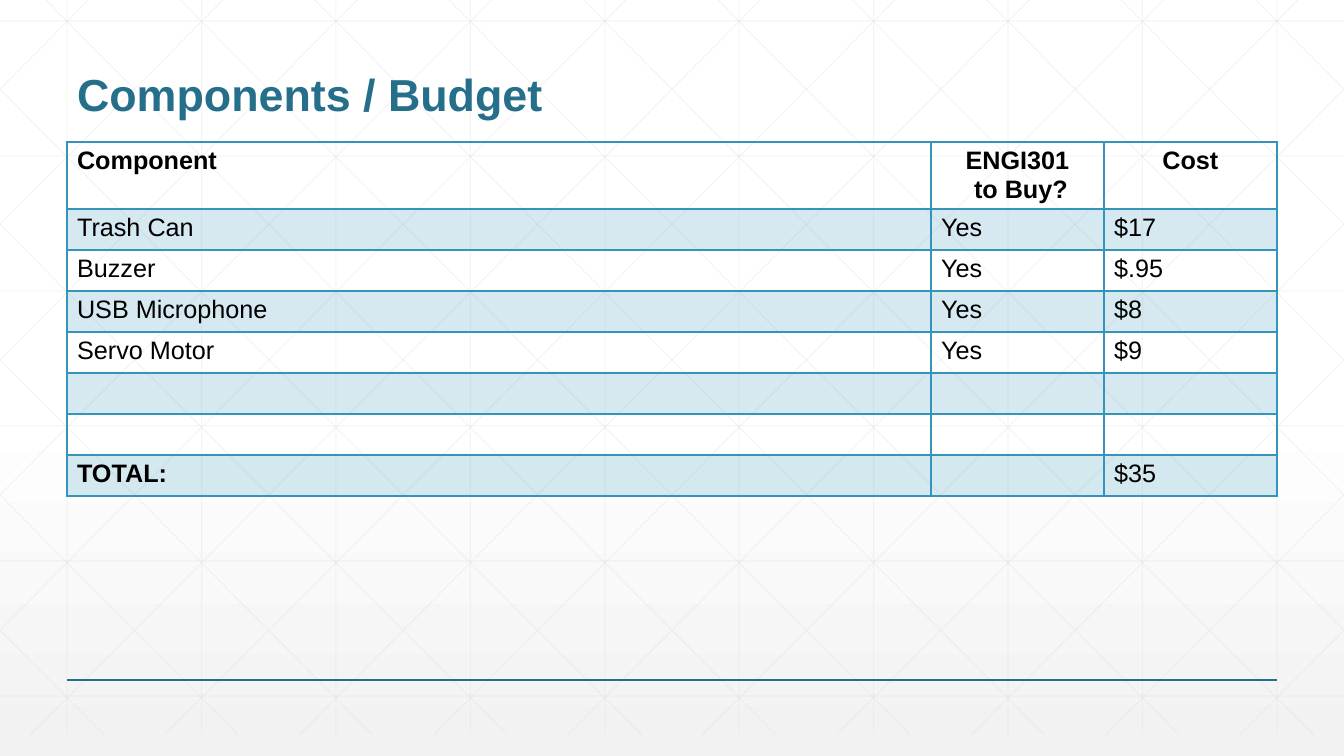
from dataclasses import dataclass

from lxml import etree
from pptx import Presentation
from pptx.dml.color import RGBColor
from pptx.enum.shapes import MSO_CONNECTOR
from pptx.enum.text import MSO_ANCHOR, PP_ALIGN
from pptx.oxml.ns import qn
from pptx.util import Emu, Pt

STRAIGHT = MSO_CONNECTOR.STRAIGHT
BOTTOM = MSO_ANCHOR.BOTTOM
LEFT, CENTER = PP_ALIGN.LEFT, PP_ALIGN.CENTER

EMU_PER_PX = 914400 / 100.8
SLIDE_WIDTH, SLIDE_HEIGHT = 1344, 756
TITLE_ONLY = 5


@dataclass(frozen=True)
class Theme:
    """Colours, type sizes and line widths of the slide."""
    font: str = "Arial"
    title: str = "266F8B"
    accent: str = "3494BA"
    text: str = "000000"
    lattice: str = "D8D8D8"
    paper: str = "FFFFFF"
    shade: str = "F2F2F2"
    title_size: int = 32
    table_size: int = 18
    lattice_width: float = 0.75
    rule_width: float = 1
    header_width: float = 2
    lattice_opacity: int = 25
    band_opacity: int = 20


THEME = Theme()

HEADER = [["Component"], ["ENGI301", " to Buy?"], ["Cost"]]
ITEMS = [
    ("Trash Can", "Yes", "$17"),
    ("Buzzer", "Yes", "$.95"),
    ("USB Microphone", "Yes", "$8"),
    ("Servo Motor", "Yes", "$9"),
    ("", "", ""),
    ("", "", ""),
    ("TOTAL:", "", "$35"),
]
COLUMN_WIDTHS = [864, 173, 173]
HEADER_HEIGHT, ITEM_HEIGHT = 67, 41


def px(length):
    """Turn pixels into EMU."""
    return Emu(round(length * EMU_PER_PX))


def set_opacity(element, percent):
    """Make every colour inside an element partly transparent."""
    for color in element.iter(qn("a:srgbClr")):
        etree.SubElement(color, qn("a:alpha"), val=str(percent * 1000))


def add_line(shapes, start, end, color, width):
    """Draw a straight line without a shadow."""
    line = shapes.add_connector(STRAIGHT, *map(px, (*start, *end)))
    line.line.color.rgb = RGBColor.from_string(color)
    line.line.width = Pt(width)
    etree.SubElement(line.element.spPr, qn("a:effectLst"))
    return line


def add_run(paragraph, text, size, color, bold):
    """Add one formatted run to a paragraph."""
    run = paragraph.add_run()
    run.text = text
    run.font.name = THEME.font
    run.font.size = Pt(size)
    run.font.bold = bold
    run.font.color.rgb = RGBColor.from_string(color)


def fill_background(slide):
    """Shade the slide towards its bottom edge."""
    fill = slide.background.fill
    fill.gradient()
    fill.gradient_angle = 270
    stops = ((0.53, THEME.paper), (1, THEME.shade))
    for stop, (position, color) in zip(fill.gradient_stops, stops):
        stop.position = position
        stop.color.rgb = RGBColor.from_string(color)


def lattice_lines(left, top, width, height):
    """List the ends of the upright, level and slanted lattice lines."""
    step, bottom, right = width / 10, top + height, left + width
    lines = [((x, top), (x, bottom))
             for x in (left + step * (index + 0.5) for index in range(10))]
    lines += [((left, y), (right, y))
              for y in (top + 42 + 135 * index for index in range(6))]
    slope = height / 751
    for index in range(-5, 10):
        start = left + 25 + step * index
        near, far = max(start, left), min(start + 751, right)
        near_y, far_y = (top + (x - start) * slope for x in (near, far))
        lines.append(((near, near_y), (far, far_y)))
        lines.append(((left + right - near, near_y), (left + right - far, far_y)))
    return lines


def add_lattice(slide, left, top, width, height):
    """Draw the faint lattice behind the content as one group."""
    group = slide.shapes.add_group_shape()
    for start, end in lattice_lines(left, top, width, height):
        line = add_line(group.shapes, start, end, THEME.lattice, THEME.lattice_width)
        set_opacity(line.element.spPr, THEME.lattice_opacity)


def add_title(slide, left, top, width, height):
    """Place the title in front of the lattice."""
    title = slide.shapes.title
    slide.shapes.element.append(title.element)
    title.left, title.top, title.width, title.height = map(px, (left, top, width, height))
    frame = title.text_frame
    frame.word_wrap = True
    frame.vertical_anchor = BOTTOM
    paragraph = frame.paragraphs[0]
    paragraph.alignment = LEFT
    paragraph.line_spacing = 0.9
    add_run(paragraph, "Components / Budget", THEME.title_size, THEME.title, True)


def set_borders(cell, top_width, bottom_width):
    """Outline a table cell."""
    properties = cell._tc.get_or_add_tcPr()
    widths = {"L": THEME.rule_width, "R": THEME.rule_width,
              "T": top_width, "B": bottom_width}
    for side, width in widths.items():
        border = etree.SubElement(properties, qn(f"a:ln{side}"), w=str(Pt(width)))
        fill = etree.SubElement(border, qn("a:solidFill"))
        etree.SubElement(fill, qn("a:srgbClr"), val=THEME.accent)


def fill_cell(cell, banded):
    """Tint a banded cell and leave any other clear."""
    if not banded:
        cell.fill.background()
        return
    cell.fill.solid()
    cell.fill.fore_color.rgb = RGBColor.from_string(THEME.accent)
    tint = cell._tc.get_or_add_tcPr().find(qn("a:solidFill"))
    set_opacity(tint, THEME.band_opacity)


def write_cell(cell, lines, alignment, bold):
    """Write one paragraph for each line of a cell."""
    frame = cell.text_frame
    for index, text in enumerate(lines):
        paragraph = frame.add_paragraph() if index else frame.paragraphs[0]
        paragraph.alignment = alignment
        paragraph.font.size = Pt(THEME.table_size)
        if text:
            add_run(paragraph, text, THEME.table_size, THEME.text, bold)


def add_budget_table(slide, left, top):
    """Build the component table from its top left corner."""
    rows = [HEADER] + [[[text] for text in item] for item in ITEMS]
    heights = [HEADER_HEIGHT] + [ITEM_HEIGHT] * len(ITEMS)
    box = map(px, (left, top, sum(COLUMN_WIDTHS), sum(heights)))
    table = slide.shapes.add_table(len(rows), len(COLUMN_WIDTHS), *box).table
    table.first_row = table.horz_banding = False
    for column, width in zip(table.columns, COLUMN_WIDTHS):
        column.width = px(width)
    for row_index, (row, height) in enumerate(zip(rows, heights)):
        table.rows[row_index].height = px(height)
        top_width = THEME.header_width if row_index == 1 else THEME.rule_width
        bottom_width = THEME.header_width if row_index == 0 else THEME.rule_width
        for column_index, lines in enumerate(row):
            cell = table.cell(row_index, column_index)
            is_header = row_index == 0
            alignment = CENTER if is_header and column_index else LEFT
            set_borders(cell, top_width, bottom_width)
            fill_cell(cell, row_index % 2 == 1)
            write_cell(cell, lines, alignment, is_header or lines == ["TOTAL:"])


def build_budget_slide(presentation):
    """Compose the budget slide."""
    slide = presentation.slides.add_slide(presentation.slide_layouts[TITLE_ONLY])
    margin, content_width = 67, sum(COLUMN_WIDTHS)
    fill_background(slide)
    add_lattice(slide, 0, -21, SLIDE_WIDTH, SLIDE_HEIGHT)
    add_line(slide.shapes, (margin, 680), (margin + content_width, 680),
             THEME.title, THEME.rule_width)
    add_title(slide, margin, 25, content_width, 101)
    add_budget_table(slide, margin, 142)


def main():
    """Save the presentation."""
    presentation = Presentation()
    presentation.slide_width, presentation.slide_height = px(SLIDE_WIDTH), px(SLIDE_HEIGHT)
    build_budget_slide(presentation)
    presentation.save("out.pptx")


if __name__ == "__main__":
    main()
